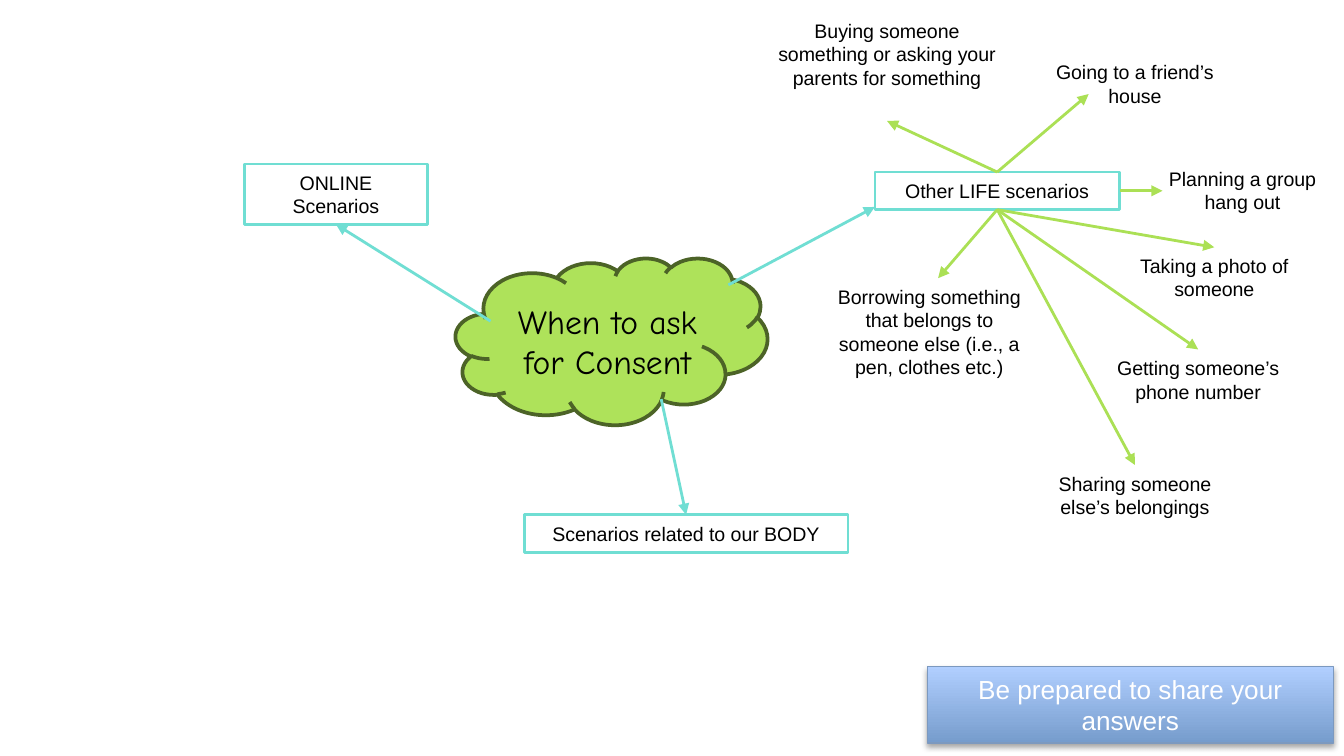
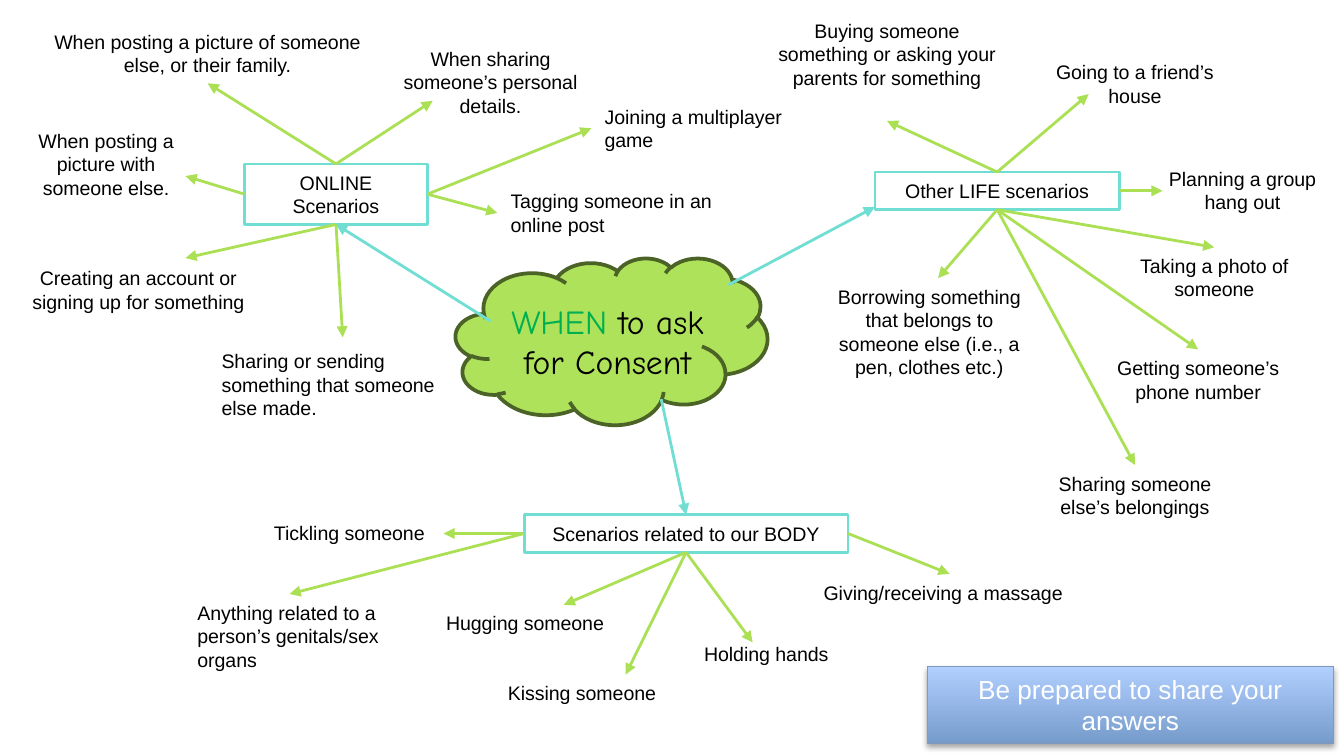
"""Build two mind-map slides on when to ask for consent."""
from lxml import etree
from pptx import Presentation
from pptx.dml.color import RGBColor
from pptx.enum.shapes import MSO_CONNECTOR, MSO_SHAPE
from pptx.enum.text import MSO_ANCHOR, MSO_AUTO_SIZE, PP_ALIGN
from pptx.oxml import parse_xml
from pptx.oxml.ns import nsdecls, qn
from pptx.util import Inches, Pt

STRAIGHT = MSO_CONNECTOR.STRAIGHT
CLOUD, RECTANGLE = MSO_SHAPE.CLOUD, MSO_SHAPE.RECTANGLE
LEFT_ALIGN, CENTER = PP_ALIGN.LEFT, PP_ALIGN.CENTER
MIDDLE, GROW = MSO_ANCHOR.MIDDLE, MSO_AUTO_SIZE.SHAPE_TO_FIT_TEXT
TOP, LEFT, BOTTOM, RIGHT = range(4)
color = RGBColor.from_string

BLACK, WHITE, EMPHASIS = "000000", "FFFFFF", "00B050"
CLOUD_GREEN, CLOUD_EDGE = "AEE25A", "4C6327"
TEAL, LIME = "70DED3", "ABE055"
BUTTON_LOW, BUTTON_HIGH, BUTTON_EDGE = "769CCC", "B1CFFF", "7C99BF"

BODY_FONT = {"name": "Arial", "size": Pt(10.5)}
BUTTON_FONT = {"name": "Arial", "size": Pt(14)}
CLOUD_FONT = {"name": "Comic Neue", "size": Pt(18)}

# Hub: label, box, where its arrow leaves the cloud, where it arrives.
HUBS = {
    "online": ("ONLINE Scenarios", (1.82, 1.22, 1.36, 0.45), (3.65, 2.39), BOTTOM),
    "life": ("Other LIFE scenarios", (6.51, 1.28, 1.82, 0.28), (5.42, 2.12), (6.51, 1.54)),
    "body": ("Scenarios related to our BODY", (3.9, 3.83, 2.41, 0.28), (4.92, 2.97), TOP),
}

# Example: text, box, alignment, side of the hub, side of the box or arrow tip.
EXAMPLES = {
    "online": [
        ("When posting a picture of someone else, or their family.",
         (0.19, 0.17, 2.71, 0.45), CENTER, TOP, BOTTOM),
        ("When sharing someone’s personal details.",
         (2.79, 0.3, 1.72, 0.63), CENTER, TOP, (3.22, 0.75)),
        ("When posting a picture with someone else.",
         (0.07, 0.91, 1.44, 0.63), CENTER, LEFT, (1.38, 1.31)),
        ("Creating an account or signing up for something",
         (0.12, 1.93, 1.82, 0.45), CENTER, BOTTOM, (1.38, 1.92)),
        ("Sharing or sending something that someone else made.",
         (1.55, 2.55, 1.95, 0.63), LEFT_ALIGN, BOTTOM, (2.55, 2.51)),
        ("Joining a multiplayer game",
         (4.4, 0.73, 1.71, 0.45), LEFT_ALIGN, RIGHT, LEFT),
        ("Tagging someone in an online post",
         (3.7, 1.36, 1.71, 0.45), LEFT_ALIGN, RIGHT, LEFT),
    ],
    "life": [
        ("Buying someone something or asking your parents for something",
         (5.69, 0.09, 1.82, 0.81), CENTER, TOP, BOTTOM),
        ("Going to a friend’s house",
         (7.71, 0.4, 1.47, 0.45), CENTER, TOP, (8.1, 0.7)),
        ("Planning a group hang out",
         (8.45, 1.19, 1.59, 0.45), CENTER, RIGHT, (8.65, 1.42)),
        ("Taking a photo of someone",
         (8.24, 1.84, 1.59, 0.45), CENTER, BOTTOM, TOP),
        ("Getting someone’s phone number",
         (8.12, 2.6, 1.59, 0.45), CENTER, BOTTOM, TOP),
        ("Sharing someone else’s belongings",
         (7.65, 3.46, 1.59, 0.45), CENTER, BOTTOM, TOP),
        ("Borrowing something that belongs to someone else (i.e., a pen, clothes etc.)",
         (6.12, 2.07, 1.59, 0.81), CENTER, BOTTOM, (6.98, 2.07)),
    ],
    "body": [
        ("Tickling someone", (1.94, 3.83, 1.36, 0.28), LEFT_ALIGN, LEFT, RIGHT),
        ("Anything related to a person’s genitals/sex organs",
         (1.37, 4.42, 1.57, 0.63), LEFT_ALIGN, LEFT, TOP),
        ("Hugging someone", (3.22, 4.5, 1.95, 0.28), LEFT_ALIGN, BOTTOM, TOP),
        ("Kissing someone", (3.68, 5.02, 1.95, 0.28), LEFT_ALIGN, BOTTOM, TOP),
        ("Holding hands", (5.14, 4.73, 1.95, 0.28), LEFT_ALIGN, BOTTOM, (5.6, 4.78)),
        ("Giving/receiving a massage", (6.03, 4.27, 2.07, 0.28), LEFT_ALIGN, RIGHT, TOP),
    ],
}

SLIDES = [
    ([("When to ask for Consent", BLACK)], ["life"]),
    ([("WHEN ", EMPHASIS), ("to ask for Consent", BLACK)], ["online", "life", "body"]),
]


def write(shape, runs, font_values, align=CENTER):
    frame = shape.text_frame
    frame.word_wrap = True
    frame.auto_size = GROW
    paragraph = frame.paragraphs[0]
    paragraph.alignment = align
    for text, ink in runs:
        run = paragraph.add_run()
        run.text = text
        run.font.color.rgb = color(ink)
        for key, value in font_values.items():
            setattr(run.font, key, value)


def arrow(slide, ink, start, end, source=None, target=None):
    points = [Inches(v) for v in (*start, *end)]
    line = slide.shapes.add_connector(STRAIGHT, *points)
    if source:
        line.begin_connect(*source)
    if target:
        line.end_connect(*target)
    line.line.color.rgb = color(ink)
    line.line.width = Pt(1.5)
    etree.SubElement(line.line._get_or_add_ln(), qn("a:tailEnd"), type="triangle")
    etree.SubElement(line._element.spPr, qn("a:effectLst"))


prs = Presentation()
prs.slide_width, prs.slide_height = Inches(10), Inches(10 * 9 / 16)

for title_runs, open_hubs in SLIDES:
    slide = prs.slides.add_slide(prs.slide_layouts[6])
    shapes = slide.shapes

    cloud = shapes.add_shape(CLOUD, *map(Inches, (3.39, 1.92, 2.32, 1.24)))
    cloud.shadow.inherit = False
    cloud.fill.solid()
    cloud.fill.fore_color.rgb = color(CLOUD_GREEN)
    cloud.line.color.rgb = color(CLOUD_EDGE)
    cloud.line.width = Pt(2)
    title = shapes.add_textbox(*map(Inches, (3.65, 2.19, 1.74, 0.71)))
    write(title, title_runs, CLOUD_FONT)

    for key, (label, box, leave, arrive) in HUBS.items():
        hub = shapes.add_shape(RECTANGLE, *map(Inches, box))
        hub.shadow.inherit = False
        hub.fill.background()
        hub.line.color.rgb = color(TEAL)
        hub.line.width = Pt(1.5)
        hub.text_frame.vertical_anchor = MIDDLE
        write(hub, [(label, BLACK)], BODY_FONT)
        if isinstance(arrive, tuple):
            arrow(slide, TEAL, leave, arrive)
        else:
            arrow(slide, TEAL, leave, leave, target=(hub, arrive))

        for text, place, align, side, tip in EXAMPLES[key] if key in open_hubs else []:
            example = shapes.add_textbox(*map(Inches, place))
            write(example, [(text, BLACK)], BODY_FONT, align)
            if isinstance(tip, tuple):
                arrow(slide, LIME, tip, tip, source=(hub, side))
            else:
                arrow(slide, LIME, box[:2], place[:2], (hub, side), (example, tip))

    button = shapes.add_shape(RECTANGLE, *map(Inches, (6.9, 4.96, 3.02, 0.57)))
    button.fill.gradient()
    button.fill.gradient_angle = 90
    for stop, ink in zip(button.fill.gradient_stops, (BUTTON_LOW, BUTTON_HIGH)):
        stop.color.rgb = color(ink)
    button.line.color.rgb = color(BUTTON_EDGE)
    button.line.width = Pt(0.75)
    button._element.spPr.append(parse_xml(
        f'<a:effectLst {nsdecls("a")}><a:outerShdw blurRad="{Pt(3.1)}" dist="{Pt(1.8)}" '
        f'dir="5400000" rotWithShape="0"><a:srgbClr val="{BLACK}">'
        '<a:alpha val="35000"/></a:srgbClr></a:outerShdw></a:effectLst>'))
    button.text_frame.vertical_anchor = MIDDLE
    write(button, [("Be prepared to share your answers", WHITE)], BUTTON_FONT)

prs.save("out.pptx")
